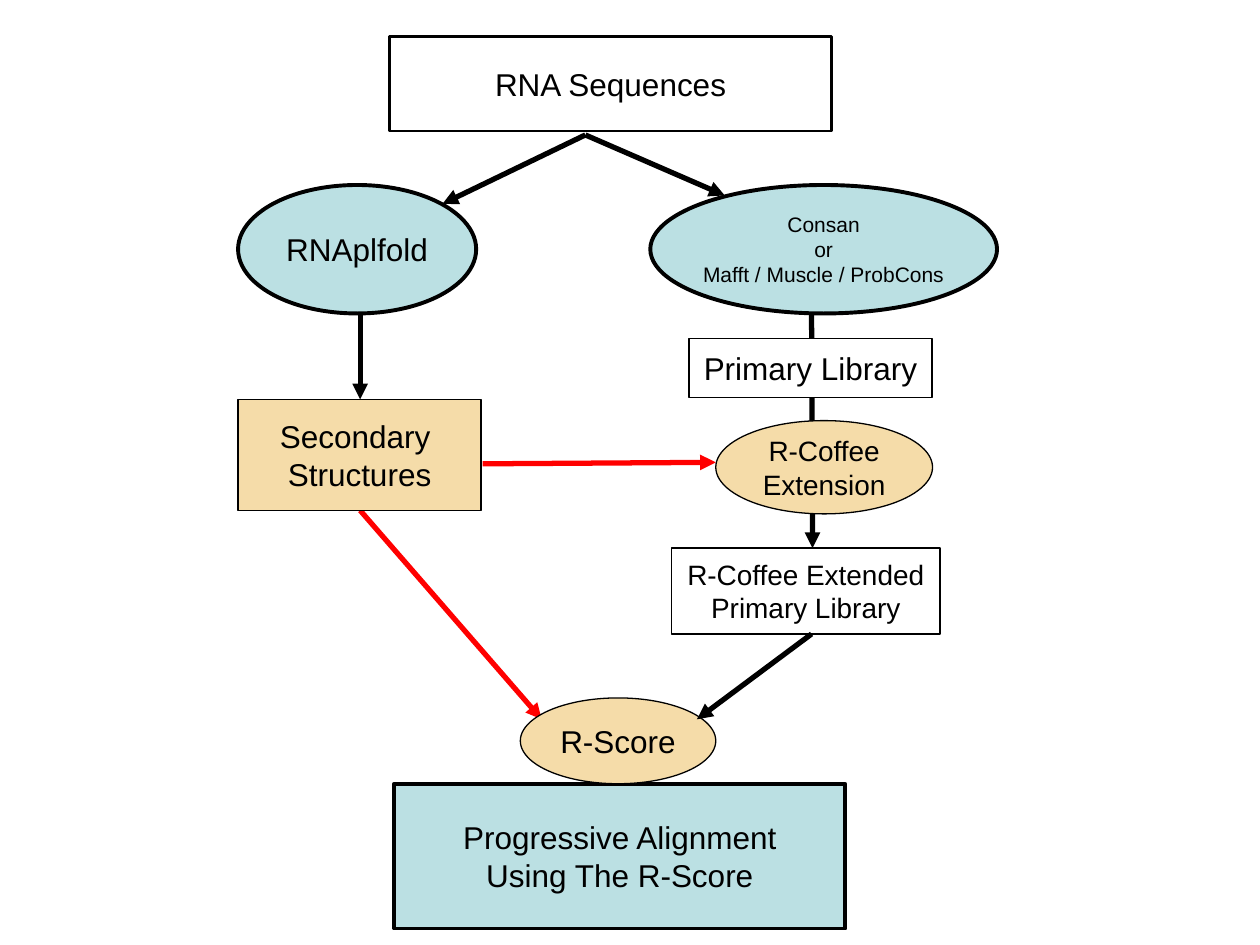
from lxml import etree
from pptx import Presentation
from pptx.dml.color import RGBColor
from pptx.enum.shapes import MSO_CONNECTOR, MSO_SHAPE
from pptx.enum.text import MSO_ANCHOR, PP_ALIGN
from pptx.oxml.ns import qn
from pptx.util import Cm, Pt

RECT, OVAL = MSO_SHAPE.RECTANGLE, MSO_SHAPE.OVAL
STRAIGHT = MSO_CONNECTOR.STRAIGHT
CENTER, MIDDLE = PP_ALIGN.CENTER, MSO_ANCHOR.MIDDLE
COLORS = {
    "black": "000000",
    "white": "FFFFFF",
    "red": "FF0000",
    "blue": "BBE0E3",
    "sand": "F5DCA9",
}

deck = Presentation()
deck.slide_width, deck.slide_height = Cm(25.4), Cm(19.05)
page = deck.slides.add_slide(deck.slide_layouts[6])


def color(name):
    return RGBColor.from_string(COLORS[name])


def add_arrow(x1, y1, x2, y2, color_name="black"):
    arrow = page.shapes.add_connector(STRAIGHT, Cm(x1), Cm(y1), Cm(x2), Cm(y2))
    arrow.line.color.rgb = color(color_name)
    arrow.line.width = Pt(3)
    etree.SubElement(arrow.line._get_or_add_ln(), qn("a:tailEnd"), type="triangle")
    etree.SubElement(arrow._element.spPr, qn("a:effectLst"))


# Arrows that run behind the boxes
add_arrow(16.36, 6.32, 16.38, 11.05)
add_arrow(7.26, 10.29, 10.92, 14.5, "red")

# Steps: outline, left, top, width, height, fill, line width, text size, lines
steps = [
    (RECT, 7.85, 0.74, 8.92, 1.9, None, 1.5, 18, ["RNA Sequences"]),
    (RECT, 4.8, 8.05, 4.9, 2.24, "sand", 0.75, 18, ["Secondary ", "Structures"]),
    (RECT, 13.89, 6.83, 4.9, 1.19, "white", 0.75, 18, ["Primary Library"]),
    (RECT, 13.54, 11.05, 5.41, 1.73, "white", 0.75, 16,
     ["R-Coffee Extended", "Primary Library"]),
    (RECT, 7.95, 15.8, 9.09, 2.92, "blue", 2.25, 18,
     ["Progressive Alignment", "Using The R-Score"]),
    (OVAL, 4.8, 3.73, 4.8, 2.59, "blue", 2.25, 18, ["RNAplfold"]),
    (OVAL, 13.11, 3.73, 6.99, 2.59, "blue", 2.25, 12,
     ["Consan", "or", "Mafft / Muscle / ProbCons"]),
    (OVAL, 14.43, 8.48, 4.37, 1.88, "sand", 0.75, 16, ["R-Coffee", "Extension"]),
    (OVAL, 10.49, 14.07, 3.94, 1.73, "sand", 0.75, 18, ["R-Score"]),
]
for outline, left, top, width, height, fill, line_width, size, lines in steps:
    box = page.shapes.add_shape(outline, Cm(left), Cm(top), Cm(width), Cm(height))
    box.shadow.inherit = False
    if fill:
        box.fill.solid()
        box.fill.fore_color.rgb = color(fill)
    else:
        box.fill.background()
    box.line.color.rgb = color("black")
    box.line.width = Pt(line_width)

    frame = box.text_frame
    frame.word_wrap = False
    frame.vertical_anchor = MIDDLE
    for index, line in enumerate(lines):
        para = frame.add_paragraph() if index else frame.paragraphs[0]
        para.alignment = CENTER
        span = para.add_run()
        span.text = line
        span.font.name = "Arial"
        span.font.size = Pt(size)
        span.font.color.rgb = color("black")

# Arrows in front of the boxes
add_arrow(11.8, 2.72, 14.61, 3.94)
add_arrow(11.8, 2.72, 8.92, 4.11)
add_arrow(7.26, 6.32, 7.26, 8.05)
add_arrow(9.73, 9.35, 14.43, 9.32, "red")
add_arrow(16.36, 12.78, 14.05, 14.5)

deck.save("out.pptx")
